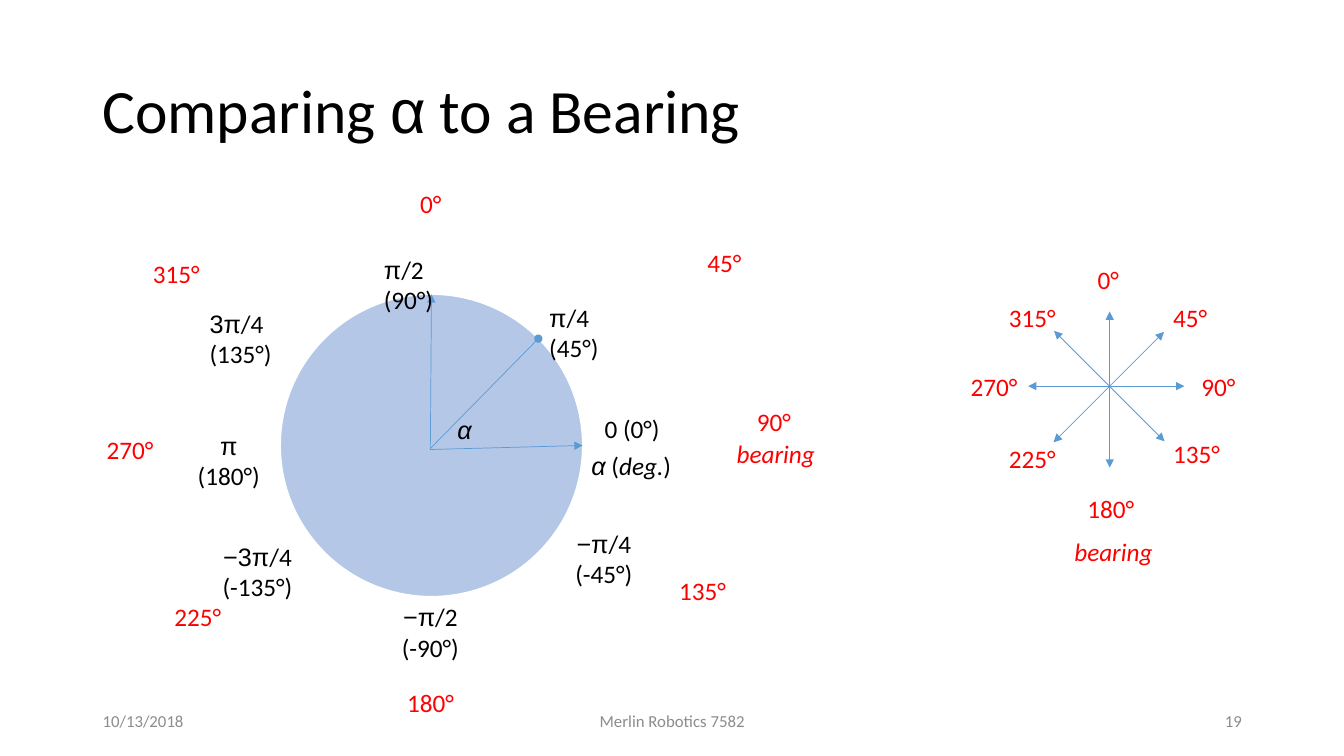
"""Build a slide that compares the angle α with a compass bearing."""
from math import cos, radians, sin

from lxml.etree import SubElement
from pptx import Presentation
from pptx.dml.color import RGBColor
from pptx.enum.shapes import MSO_CONNECTOR as Connector, MSO_SHAPE as Shape
from pptx.enum.text import MSO_ANCHOR as Anchor, MSO_AUTO_SIZE as AutoSize, PP_ALIGN as Align
from pptx.oxml.ns import qn
from pptx.util import Pt

COLORS = {
    "text": "000000",
    "bearing": "FF0000",
    "disc": "B4C7E7",
    "outline": "FFFFFF",
    "arrow": "5B9BD5",
    "footer": "8C8C8C",
}
BODY, GREEK = "Calibri", "Arial"
LABEL_HEIGHT = 28.8
BEARING_WIDTHS = {2: 30.2, 3: 38.9, 4: 48.2}

DISC_BEARINGS = {
    "0°": (293, 131), "45°": (498.2, 172.8), "90°": (533.5, 286.6),
    "135°": (478.1, 407.5), "180°": (283.7, 487.4), "225°": (117.4, 426.2),
    "270°": (69.1, 306.7), "315°": (102.2, 180.7),
}
COMPASS_BEARINGS = {
    "0°": (776.9, 185), "45°": (830.9, 212.4), "90°": (851, 261.4),
    "135°": (830.9, 309.6), "180°": (769.7, 348.5), "225°": (713.5, 313.2),
    "270°": (686.2, 261.4), "315°": (713.5, 212.4),
}
ANGLES = [
    ("π", "/4", "(45°)", 385.2, 212.4, 80.6, Align.LEFT),
    ("π", "/2", "(90°)", 267.1, 177.8, 80.6, Align.LEFT),
    ("3π", "/4", "(135°)", 142.6, 216.7, 98.6, Align.LEFT),
    ("π", "", "(180°)", 126.7, 303.8, 73.4, Align.CENTER),
    ("−3π", "/4", "(-135°)", 126.7, 383, 114.5, Align.CENTER),
    ("−π", "/2", "(-90°)", 259.2, 426.2, 96.5, Align.CENTER),
    ("−π", "/4", "(-45°)", 383.8, 373.7, 95, Align.CENTER),
]
RADII = [
    ((307.4, 320.4), (384.5, 241.9), "oval"),
    ((307.4, 321.1), (308.2, 210.2), "triangle"),
    ((307.4, 321.1), (416.2, 318.2), "triangle"),
]
COMPASS_AXES = [(0, 790.2, 275.8), (45, 792, 276.5), (90, 792.7, 278.3), (135, 792.4, 275.8)]
COMPASS_RADIUS = 55.8


def rgb(name):
    return RGBColor.from_string(COLORS[name])


def add_text(page, left, top, width, spans, color="text", size=18, align=Align.LEFT,
             height=LABEL_HEIGHT, wrap=False, anchor=Anchor.TOP):
    """Add a text box from (text, font, italic) spans and return its paragraph."""
    box = page.shapes.add_textbox(Pt(left), Pt(top), Pt(width), Pt(height))
    frame = box.text_frame
    frame.word_wrap = wrap
    frame.auto_size = AutoSize.NONE if wrap else AutoSize.SHAPE_TO_FIT_TEXT
    frame.vertical_anchor = anchor
    para = frame.paragraphs[0]
    para.alignment = align
    for text, font, italic in spans:
        if text == "\v":
            para.add_line_break()
            continue
        span = para.add_run()
        span.text = text
        span.font.name = font
        span.font.size = Pt(size)
        span.font.italic = italic
        span.font.color.rgb = rgb(color)
    return para


def add_bearings(page, bearings):
    for text, (left, top) in bearings.items():
        add_text(page, left, top, BEARING_WIDTHS[len(text)], [(text, BODY, False)], "bearing")


def add_angle(page, greek, divisor, degrees, left, top, width, align):
    spans = [(greek, GREEK, False), (divisor, BODY, False), ("\v", BODY, False),
             (degrees, BODY, False)]
    add_text(page, left, top, width, [span for span in spans if span[0]], align=align, wrap=True)


def add_arrow(page, start, end, tail, head=None):
    arrow = page.shapes.add_connector(Connector.STRAIGHT, *(Pt(value) for value in start + end))
    arrow.line.width = Pt(0.5)
    arrow.line.color.rgb = rgb("arrow")
    outline = arrow.line._get_or_add_ln()
    for tag, kind in (("a:headEnd", head), ("a:tailEnd", tail)):
        if kind:
            SubElement(outline, qn(tag), type=kind)
    SubElement(arrow._element.spPr, qn("a:effectLst"))


def add_disc(page):
    disc = page.shapes.add_shape(Shape.OVAL, Pt(200.2), Pt(210.2), Pt(216), Pt(216))
    disc.shadow.inherit = False
    disc.fill.solid()
    disc.fill.fore_color.rgb = rgb("disc")
    disc.line.color.rgb = rgb("outline")
    disc.line.width = Pt(1)
    for start, end, tail in RADII:
        add_arrow(page, start, end, tail)


def add_compass(page):
    for angle, center_x, center_y in COMPASS_AXES:
        reach_x = COMPASS_RADIUS * cos(radians(angle))
        reach_y = COMPASS_RADIUS * sin(radians(angle))
        add_arrow(page, (center_x - reach_x, center_y + reach_y),
                  (center_x + reach_x, center_y - reach_y), "triangle", "triangle")


def add_footer(page, left, width, text, align):
    add_text(page, left, 500.4, width, [(text, BODY, False)], "footer", 12, align,
             wrap=True, anchor=Anchor.MIDDLE)


def main():
    deck = Presentation()
    deck.slide_width, deck.slide_height = Pt(960), Pt(540)
    page = deck.slides.add_slide(deck.slide_layouts[6])

    title = add_text(page, 66.2, 28.8, 828,
                     [("Comparing ", BODY, False), ("α", GREEK, False),
                      (" to a Bearing", BODY, False)],
                     size=44, height=104.4, wrap=True, anchor=Anchor.MIDDLE)
    title.line_spacing = 0.9

    add_disc(page)
    add_text(page, 319.7, 292.3, 25.9, [("α", GREEK, True)])
    add_text(page, 424.8, 291.6, 54.7, [("0 (0°)", BODY, False)])
    add_text(page, 415.4, 318.2, 73.4, [("α", GREEK, True), (" (", BODY, False),
                                        ("deg.", BODY, True), (")", BODY, False)])
    for angle in ANGLES:
        add_angle(page, *angle)
    add_bearings(page, DISC_BEARINGS)

    add_compass(page)
    add_bearings(page, COMPASS_BEARINGS)
    for left, top in ((519.1, 309.6), (760.3, 379.4)):
        add_text(page, left, top, 71.3, [("bearing", BODY, True)], "bearing")

    add_footer(page, 66.2, 216, "10/13/2018", Align.LEFT)
    add_footer(page, 318.2, 324, "Merlin Robotics 7582", Align.CENTER)
    add_footer(page, 678.2, 216, "19", Align.RIGHT)
    deck.save("out.pptx")


if __name__ == "__main__":
    main()
